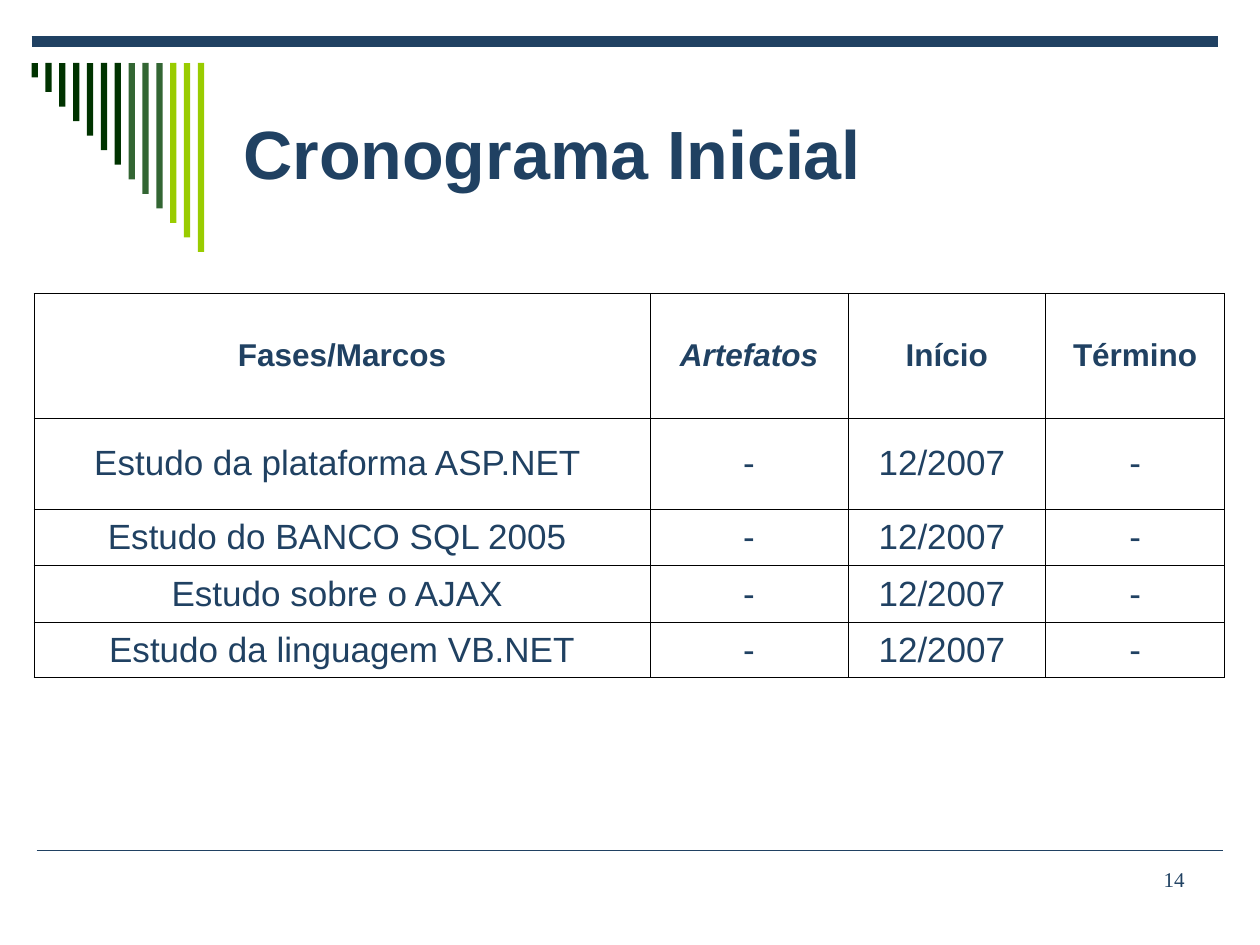
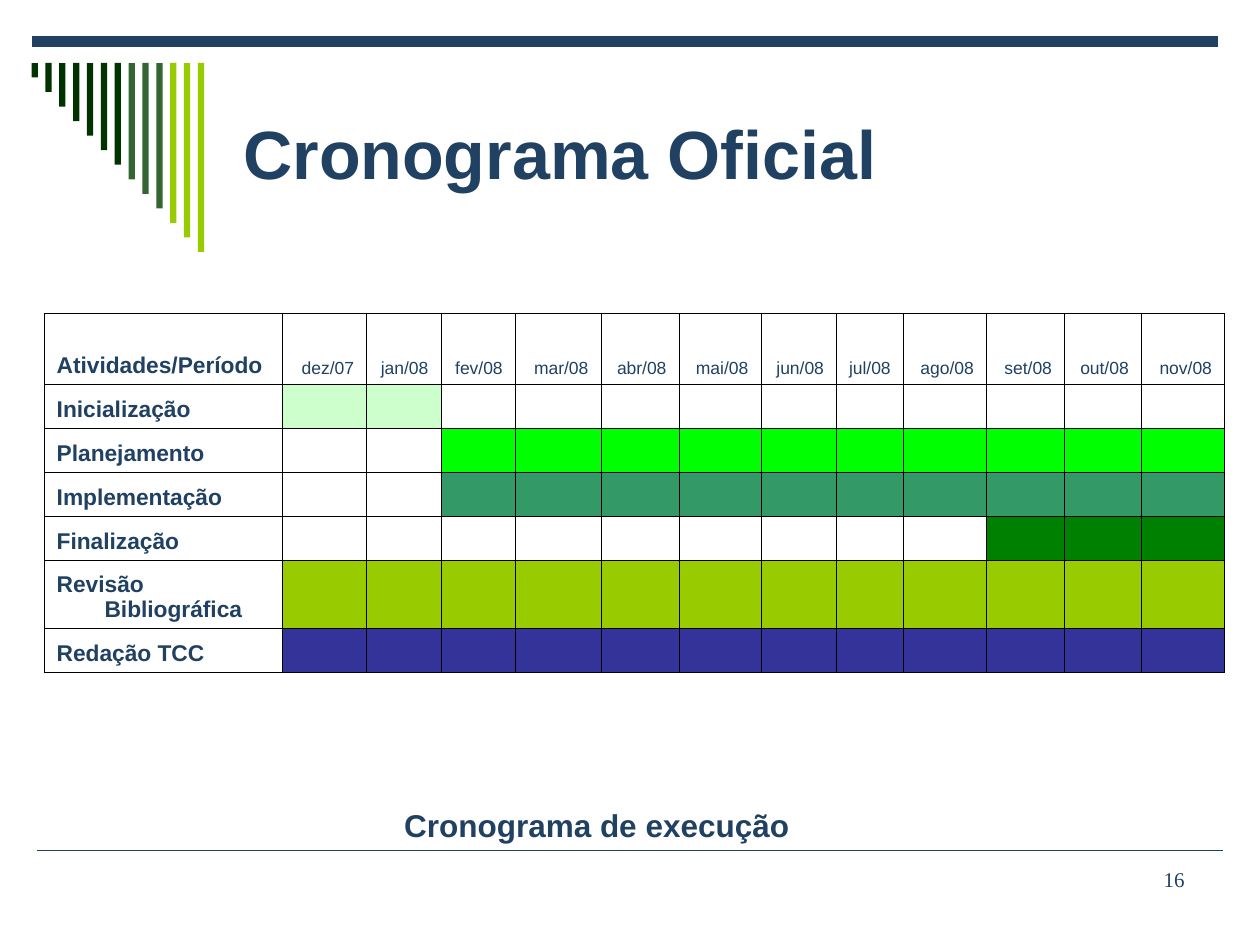
from lxml import etree
from pptx import Presentation
from pptx.dml.color import RGBColor
from pptx.enum.shapes import MSO_CONNECTOR, MSO_SHAPE
from pptx.enum.text import MSO_ANCHOR, MSO_AUTO_SIZE, PP_ALIGN
from pptx.oxml.ns import qn
from pptx.util import Inches, Pt

STRAIGHT = MSO_CONNECTOR.STRAIGHT
RECTANGLE = MSO_SHAPE.RECTANGLE
MIDDLE, BOTTOM = MSO_ANCHOR.MIDDLE, MSO_ANCHOR.BOTTOM
LEFT, CENTER, RIGHT = PP_ALIGN.LEFT, PP_ALIGN.CENTER, PP_ALIGN.RIGHT
FIXED, GROW = MSO_AUTO_SIZE.NONE, MSO_AUTO_SIZE.SHAPE_TO_FIT_TEXT

NAVY, BLACK, WHITE = "204162", "000000", "FFFFFF"
DARK_GREEN, MID_GREEN, LIME = "003300", "336633", "99CC00"
STRIPE_COLORS = [DARK_GREEN] * 7 + [MID_GREEN] * 3 + [LIME] * 3

PHASES = [
    ("Fases/Marcos", "Artefatos", "Início", "Término"),
    ("Estudo da plataforma ASP.NET ", "-", "12/2007 ", "-"),
    ("Estudo do BANCO SQL 2005 ", "-", "12/2007 ", "-"),
    ("Estudo sobre o AJAX ", "-", "12/2007 ", "-"),
    ("Estudo da linguagem VB.NET", "-", "12/2007 ", "-"),
]
PHASE_WIDTHS = [4.89, 1.57, 1.57, 1.42]
PHASE_HEIGHTS = [0.99, 0.72, 0.45, 0.45, 0.44]

MONTHS = ["dez/07"] + [f"{month}/08" for month in (
    "jan", "fev", "mar", "abr", "mai", "jun", "jul", "ago", "set", "out", "nov")]
# Activity, first month, last month, colour
ACTIVITIES = [
    ("Inicialização", "dez/07", "jan/08", "CCFFCC"),
    ("Planejamento", "fev/08", "nov/08", "00FF00"),
    ("Implementação", "fev/08", "nov/08", "339966"),
    ("Finalização", "set/08", "nov/08", "008000"),
    ("Revisão Bibliográfica", "dez/07", "nov/08", LIME),
    ("Redação TCC", "dez/07", "nov/08", "333399"),
]
GANTT_WIDTHS = [1.89, 0.67, 0.59, 0.59, 0.68, 0.62, 0.65, 0.6, 0.53, 0.66, 0.62, 0.61, 0.66]
GANTT_HEIGHTS = [0.56, 0.35, 0.35, 0.35, 0.35, 0.54, 0.35]


def color(value):
    return RGBColor.from_string(value)


def write(frame, text, size, font="Arial", bold=False, italic=False, align=LEFT):
    frame.text = text
    paragraph = frame.paragraphs[0]
    paragraph.alignment = align
    for run in paragraph.runs:
        run.font.name = font
        run.font.size = Pt(size)
        run.font.bold = bold
        run.font.italic = italic
        run.font.color.rgb = color(NAVY)


def add_rule(slide, left, top, width, weight):
    rule = slide.shapes.add_connector(
        STRAIGHT, Inches(left), Inches(top), Inches(left + width), Inches(top))
    rule.line.color.rgb = color(NAVY)
    rule.line.width = Pt(weight)
    etree.SubElement(rule._element.spPr, qn("a:effectLst"))


def add_stripes(slide, left, top, height):
    """Draw a row of hanging stripes that grow evenly to the full height."""
    stripes = slide.shapes.add_group_shape()
    for i, shade in enumerate(STRIPE_COLORS):
        stripe = stripes.shapes.add_shape(
            RECTANGLE, Inches(left + 0.11 * i), Inches(top),
            Inches(0.05), Inches(height * (i + 1) / len(STRIPE_COLORS)))
        stripe.shadow.inherit = False
        stripe.fill.solid()
        stripe.fill.fore_color.rgb = color(shade)
        stripe.line.fill.background()


def add_text(slide, left, top, width, height, text, size, grow=False, **style):
    """Add a text box that wraps, or one that grows around a single line."""
    box = slide.shapes.add_textbox(
        Inches(left), Inches(top), Inches(width), Inches(height))
    box.text_frame.word_wrap = not grow
    box.text_frame.auto_size = GROW if grow else FIXED
    write(box.text_frame, text, size, **style)


def add_framed_slide(deck, title, number):
    """Add a slide with the shared rules, stripes, title and page number."""
    slide = deck.slides.add_slide(deck.slide_layouts[5])
    add_rule(slide, 0.29, 6.75, 9.42, 1)
    add_rule(slide, 0.25, 0.33, 9.42, 6)
    add_stripes(slide, 0.25, 0.5, 1.5)
    heading = slide.shapes.title
    heading.left, heading.top = Inches(1.83), Inches(0.5)
    heading.width, heading.height = Inches(7.67), Inches(1.42)
    heading.text_frame.auto_size = FIXED
    heading.text_frame.vertical_anchor = MIDDLE
    write(heading.text_frame, title, 39, bold=True)
    add_text(slide, 7.17, 6.83, 2.33, 0.5, number, 12,
             font="Times New Roman", align=RIGHT)
    return slide


def add_grid(slide, left, top, widths, heights):
    """Add an unstyled table with the given column widths and row heights."""
    grid = slide.shapes.add_table(
        len(heights), len(widths), Inches(left), Inches(top),
        Inches(sum(widths)), Inches(sum(heights))).table
    grid.first_row = grid.horz_banding = False
    for column, width in zip(grid.columns, widths):
        column.width = Inches(width)
    for row, height in zip(grid.rows, heights):
        row.height = Inches(height)
    return grid


def fill_cell(cell, text, size, anchor, fill=WHITE, **style):
    properties = cell._tc.get_or_add_tcPr()
    for side in ("lnL", "lnR", "lnT", "lnB"):
        border = etree.SubElement(properties, qn(f"a:{side}"), w=str(Pt(0.45)))
        solid = etree.SubElement(border, qn("a:solidFill"))
        etree.SubElement(solid, qn("a:srgbClr"), val=BLACK)
    cell.fill.solid()
    cell.fill.fore_color.rgb = color(fill)
    cell.vertical_anchor = anchor
    write(cell.text_frame, text, size, **style)
    paragraph = cell.text_frame.paragraphs[0]._p
    indent = paragraph.get_or_add_pPr()
    indent.set("marL", str(Inches(0.38)))
    indent.set("indent", str(-Inches(0.38)))
    if not text:
        etree.SubElement(paragraph, qn("a:endParaRPr"), sz=str(size * 100))


def add_phase_table(slide, left, top):
    grid = add_grid(slide, left, top, PHASE_WIDTHS, PHASE_HEIGHTS)
    for r, phase in enumerate(PHASES):
        header = r == 0
        for c, text in enumerate(phase):
            fill_cell(grid.cell(r, c), text, 18 if header else 20, MIDDLE,
                      bold=header, italic=header and c == 1, align=CENTER)


def add_gantt(slide, left, top):
    grid = add_grid(slide, left, top, GANTT_WIDTHS, GANTT_HEIGHTS)
    fill_cell(grid.cell(0, 0), "Atividades/Período", 13, BOTTOM, bold=True)
    for c, month in enumerate(MONTHS, 1):
        month_cell = grid.cell(0, c)
        fill_cell(month_cell, month, 10, BOTTOM, align=RIGHT)
        month_cell.margin_left = Inches(0.03)
    for r, (activity, first, last, shade) in enumerate(ACTIVITIES, 1):
        fill_cell(grid.cell(r, 0), activity, 13, BOTTOM, bold=True)
        active = range(MONTHS.index(first), MONTHS.index(last) + 1)
        for m in range(len(MONTHS)):
            fill_cell(grid.cell(r, m + 1), "", 10, BOTTOM,
                      fill=shade if m in active else WHITE)


def main():
    deck = Presentation()
    deck.slide_width, deck.slide_height = Inches(10), Inches(7.5)

    initial = add_framed_slide(deck, "Cronograma Inicial", "14")
    add_phase_table(initial, 0.27, 2.33)

    official = add_framed_slide(deck, "Cronograma Oficial", "16")
    add_text(official, 3.11, 6.35, 3.27, 0.4, "Cronograma de execução", 18,
             grow=True, bold=True)
    add_gantt(official, 0.35, 2.49)

    deck.save("out.pptx")


if __name__ == "__main__":
    main()
